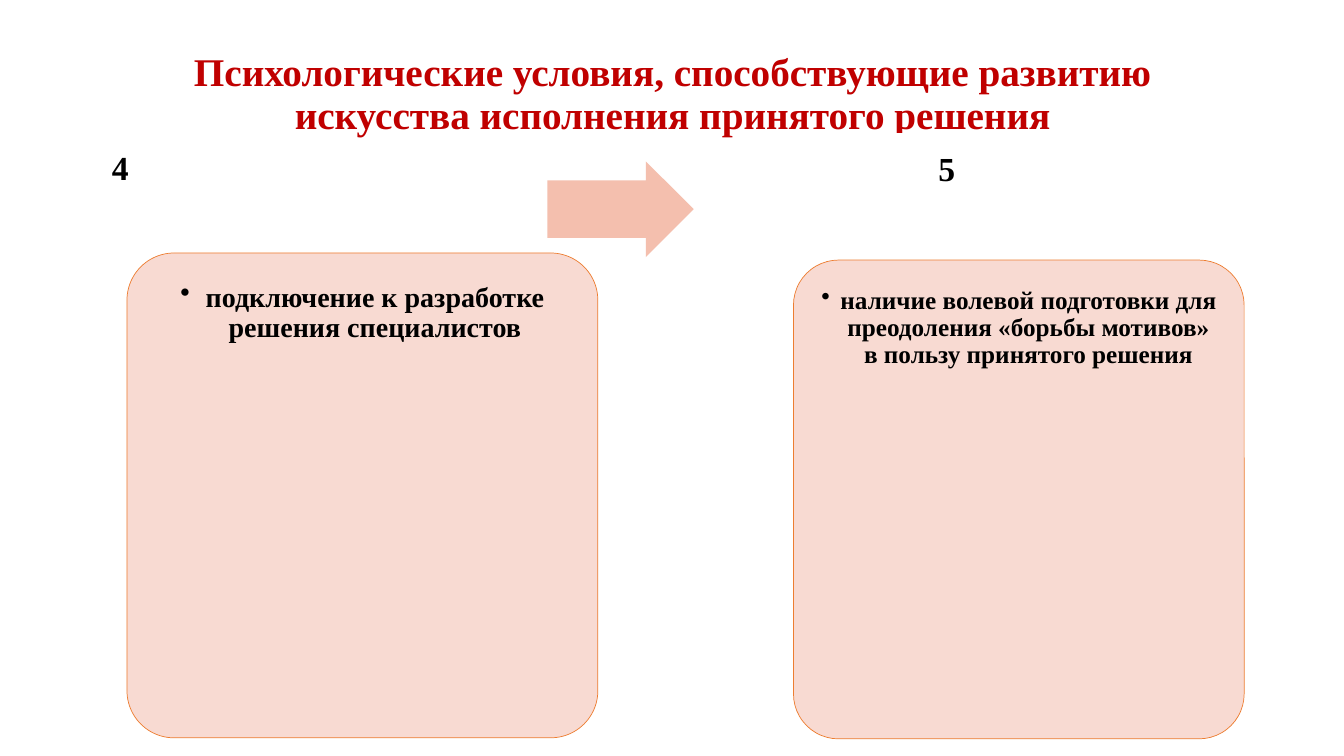
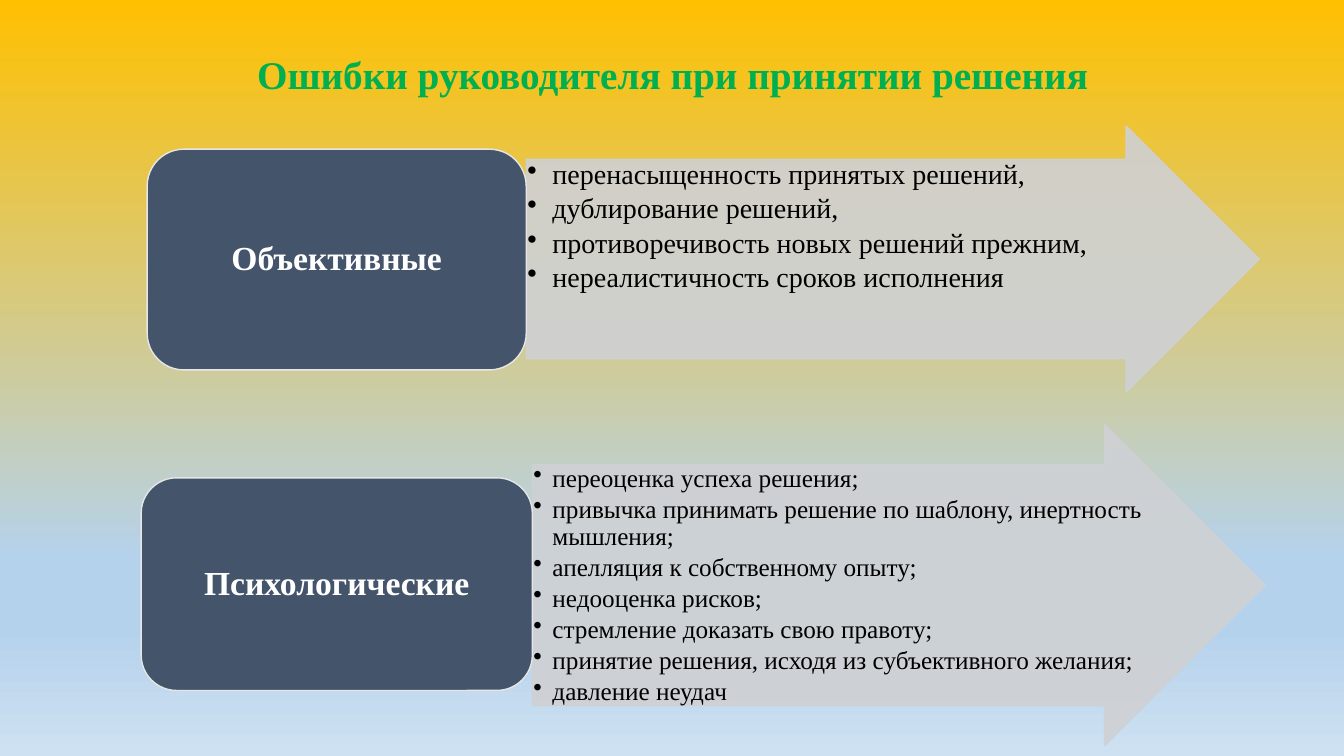
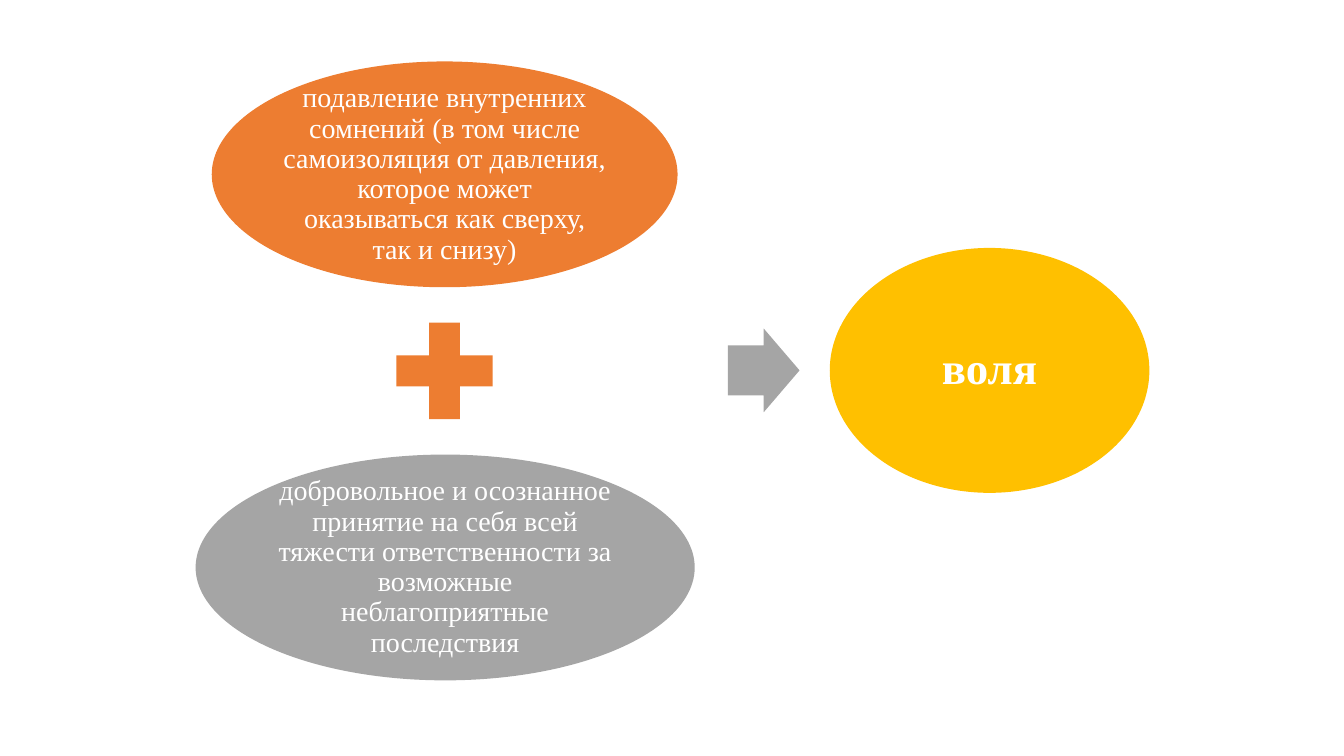
from dataclasses import dataclass

from lxml import etree
from pptx import Presentation
from pptx.dml.color import RGBColor
from pptx.enum import shapes, text
from pptx.oxml import ns
from pptx.util import Inches, Pt

SHAPE = shapes.MSO_SHAPE
ALIGN = text.PP_ALIGN
ANCHOR = text.MSO_ANCHOR


@dataclass(frozen=True)
class Theme:
    """Colours, font and type sizes shared by the slides."""
    font: str = "Times New Roman"
    line_spacing: float = 0.9
    title: int = 28
    label: int = 24
    body: int = 20
    small: int = 18
    result: int = 32
    black: str = "000000"
    white: str = "FFFFFF"
    red: str = "C00000"
    green: str = "00B050"
    orange: str = "ED7D31"
    grey: str = "A5A5A5"
    gold: str = "FFC000"
    card: str = "F8D7CE"
    card_arrow: str = "F4BFAE"
    navy: str = "44546A"
    navy_edge: str = "E7E6E6"
    list_arrow: str = "CFD1D4"
    backdrop: tuple = ((0, "FFC000"), (74, "B5D2EC"), (83, "B5D2EC"), (100, "CEE1F2"))


THEME = Theme()


def rgb(colour):
    """Turn a hex string into a colour."""
    return RGBColor.from_string(colour)


def place(shape, at):
    """Set left, top, width and height in inches."""
    shape.left, shape.top, shape.width, shape.height = map(Inches, at)


def set_bullet(para, indent):
    """Give a paragraph a round bullet with a hanging indent in inches."""
    para.level = 1
    props = para._p.get_or_add_pPr()
    props.set("marL", str(Inches(indent)))
    props.set("indent", str(-Inches(indent)))
    etree.SubElement(props, ns.qn("a:buChar"), char="•")


def write(shape, lines, size=THEME.body, colour=THEME.black, bold=False,
          align=ALIGN.CENTER, anchor=ANCHOR.MIDDLE, insets=(0.1, 0.05, 0.1, 0.05),
          bullet=None, after=0.35):
    """Write one string or a list of paragraphs; after is a share of the size."""
    frame = shape.text_frame
    frame.word_wrap = True
    frame.auto_size = text.MSO_AUTO_SIZE.NONE
    frame.vertical_anchor = anchor
    (frame.margin_left, frame.margin_top,
     frame.margin_right, frame.margin_bottom) = map(Inches, insets)
    lines = [lines] if isinstance(lines, str) else lines
    for number, line in enumerate(lines):
        para = frame.add_paragraph() if number else frame.paragraphs[0]
        para.alignment = align
        para.line_spacing = THEME.line_spacing
        para.space_before = Pt(0)
        para.space_after = Pt(size * after)
        if bullet:
            set_bullet(para, bullet)
        span = para.add_run()
        span.text = line
        span.font.name = THEME.font
        span.font.size = Pt(size)
        span.font.bold = bold
        span.font.color.rgb = rgb(colour)


def set_alpha(holder, percent):
    """Make the solid fill directly inside an element translucent."""
    colour = holder.find(ns.qn("a:solidFill")).find(ns.qn("a:srgbClr"))
    etree.SubElement(colour, ns.qn("a:alpha"), val=str(percent * 1000))


def add_box(page, kind, at, fill, line=None, width=1, adjust=(),
            alpha=None, line_alpha=None):
    """Add a flat preset shape."""
    box = page.shapes.add_shape(kind, *map(Inches, at))
    box.shadow.inherit = False
    for index, value in enumerate(adjust):
        box.adjustments[index] = value
    box.fill.solid()
    box.fill.fore_color.rgb = rgb(fill)
    if line:
        box.line.color.rgb = rgb(line)
        box.line.width = Pt(width)
    else:
        box.line.fill.background()
    props = box.element.spPr
    if alpha:
        set_alpha(props, alpha)
    if line_alpha:
        set_alpha(props.find(ns.qn("a:ln")), line_alpha)
    return box


def add_titled_page(deck, title, colour, height):
    """Add a title-only slide with the shared title style."""
    page = deck.slides.add_slide(deck.slide_layouts[5])
    place(page.shapes.title, (0.92, 0.4, 11.5, height))
    write(page.shapes.title, title, size=THEME.title, colour=colour, bold=True,
          insets=(0.15, 0.05, 0.15, 0.05), after=0)
    return page


def paint_backdrop(page, stops):
    """Fill the slide background with a gradient from top to bottom."""
    fill = page.background.fill
    fill.gradient()
    fill.gradient_angle = 270
    stop_list = next(page.element.iter(ns.qn("a:gsLst")))
    for stop in list(stop_list):
        stop_list.remove(stop)
    for position, colour in stops:
        stop = etree.SubElement(stop_list, ns.qn("a:gs"), pos=str(position * 1000))
        etree.SubElement(stop, ns.qn("a:srgbClr"), val=colour)


def add_card(page, at, line, size, indent, inset):
    """Add a pale rounded card with one bulleted statement."""
    card = add_box(page, SHAPE.ROUNDED_RECTANGLE, at, THEME.card, line=THEME.orange,
                   width=0.5, adjust=(0.1,), alpha=90)
    write(card, line, size=size, bold=True, anchor=ANCHOR.TOP,
          insets=(inset,) * 4, bullet=indent, after=0.15)


def add_error_group(page, label, label_at, arrow_at, errors, size, indent):
    """Add a list inside an arrow and the label it starts from."""
    arrow = add_box(page, SHAPE.RIGHT_ARROW, arrow_at, THEME.list_arrow,
                    line=THEME.list_arrow, adjust=(0.75, 0.5), alpha=90, line_alpha=90)
    write(arrow, errors, size=size, align=ALIGN.LEFT, anchor=ANCHOR.TOP,
          insets=(0.01,) * 4, bullet=indent, after=0.15)
    box = add_box(page, SHAPE.ROUNDED_RECTANGLE, label_at, THEME.navy,
                  line=THEME.navy_edge)
    write(box, label, size=THEME.label, colour=THEME.white, bold=True)


def add_oval(page, at, fill, line, **style):
    """Add an oval with white text."""
    oval = add_box(page, SHAPE.OVAL, at, fill)
    write(oval, line, colour=THEME.white, insets=(0.03,) * 4, **style)


def build_conditions(deck):
    """Slide with conditions four and five."""
    page = add_titled_page(
        deck, "Психологические условия, способствующие развитию "
        "искусства исполнения принятого решения", THEME.red, 1.09)
    fourth = page.shapes.add_textbox(*map(Inches, (0.92, 1.31, 3.82, 1.53)))
    write(fourth, "4", size=THEME.label, bold=True, align=ALIGN.LEFT,
          anchor=ANCHOR.TOP, insets=(0.19, 0.19, 0.19, 0.1))
    add_card(page, (1.26, 2.51, 4.67, 4.81),
             "подключение к разработке решения специалистов", THEME.body, 0.25, 0.16)
    add_box(page, SHAPE.RIGHT_ARROW, (5.43, 1.6, 1.45, 0.95), THEME.card_arrow,
            adjust=(0.6, 0.5))
    fifth = add_box(page, SHAPE.ROUNDED_RECTANGLE, (7.48, 1.32, 3.82, 3.02),
                    THEME.white, adjust=(0.1,))
    write(fifth, "5", size=THEME.label, bold=True, anchor=ANCHOR.TOP, insets=(0.1,) * 4)
    add_card(page, (7.87, 2.58, 4.47, 4.75),
             "наличие волевой подготовки для преодоления «борьбы мотивов» "
             "в пользу принятого решения", THEME.small, 0.19, 0.14)


def build_errors(deck):
    """Slide with two groups of decision errors."""
    page = add_titled_page(deck, "Ошибки руководителя при принятии решения",
                           THEME.green, 0.73)
    paint_backdrop(page, THEME.backdrop)
    add_error_group(
        page, "Объективные", (1.46, 1.48, 3.76, 2.19), (5.22, 1.25, 7.27, 2.64),
        ["перенасыщенность принятых решений,",
         "дублирование решений,",
         "противоречивость новых решений прежним,",
         "нереалистичность сроков исполнения"], THEME.body, 0.25)
    add_error_group(
        page, "Психологические", (1.4, 4.74, 3.88, 2.11), (5.28, 4.21, 7.27, 3.19),
        ["переоценка успеха решения;",
         "привычка принимать решение по шаблону, инертность мышления;",
         "апелляция к собственному опыту;",
         "недооценка рисков;",
         "стремление доказать свою правоту;",
         "принятие решения, исходя из субъективного желания;",
         "давление неудач"], THEME.small, 0.19)


def build_will(deck):
    """Slide that adds two efforts up to will."""
    page = deck.slides.add_slide(deck.slide_layouts[6])
    add_oval(page, (2.1, 0.61, 4.62, 2.24), THEME.orange,
             "подавление внутренних сомнений (в том числе самоизоляция от давления, "
             "которое может оказываться как сверху, так и снизу)")
    add_box(page, SHAPE.MATH_PLUS, (3.76, 3.03, 1.3, 1.3), THEME.orange)
    add_oval(page, (1.94, 4.51, 4.95, 2.24), THEME.grey,
             "добровольное и осознанное принятие на себя всей тяжести "
             "ответственности за возможные неблагоприятные последствия")
    add_box(page, SHAPE.RIGHT_ARROW, (7.22, 3.26, 0.71, 0.83), THEME.grey,
            adjust=(0.6, 0.5))
    add_oval(page, (8.23, 2.46, 3.17, 2.43), THEME.gold, "воля",
             size=THEME.result, bold=True)


def main():
    """Build and save the deck."""
    deck = Presentation()
    deck.slide_width, deck.slide_height = Inches(13.33), Inches(7.5)
    build_conditions(deck)
    build_errors(deck)
    build_will(deck)
    deck.save("out.pptx")


main()
